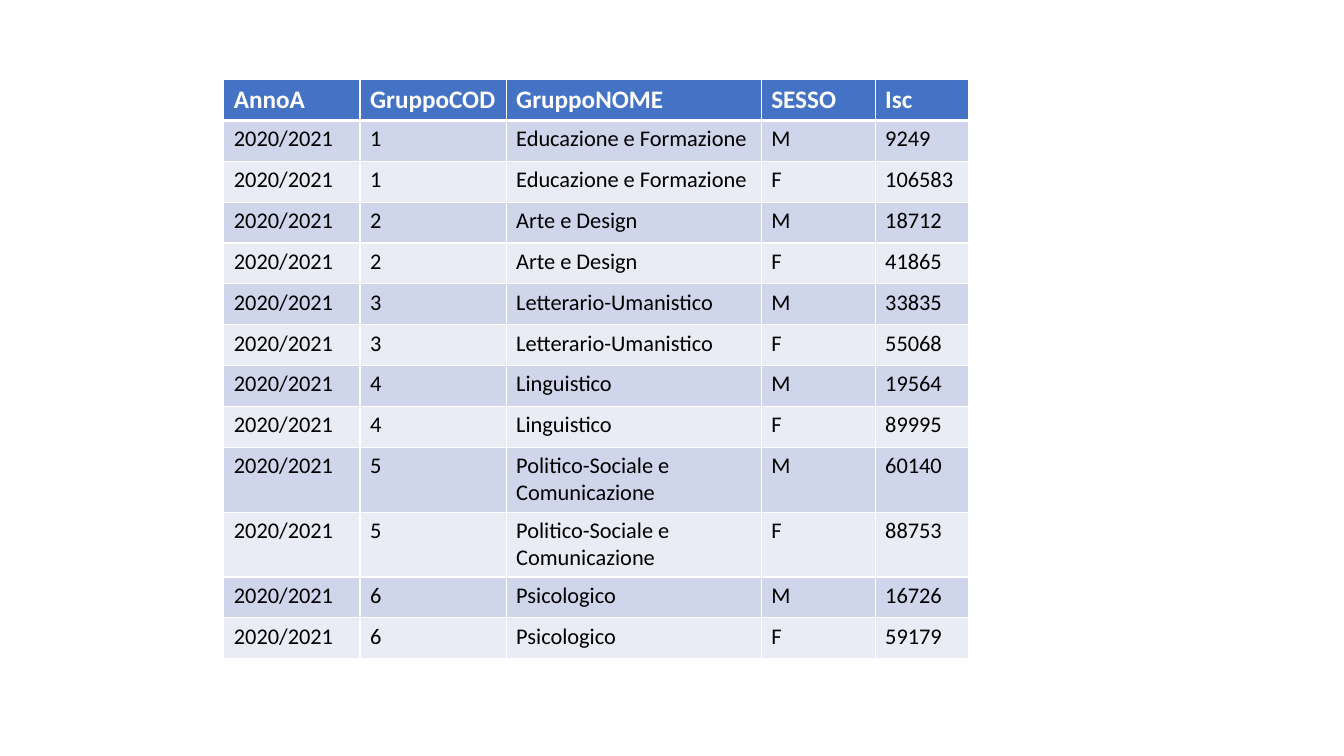
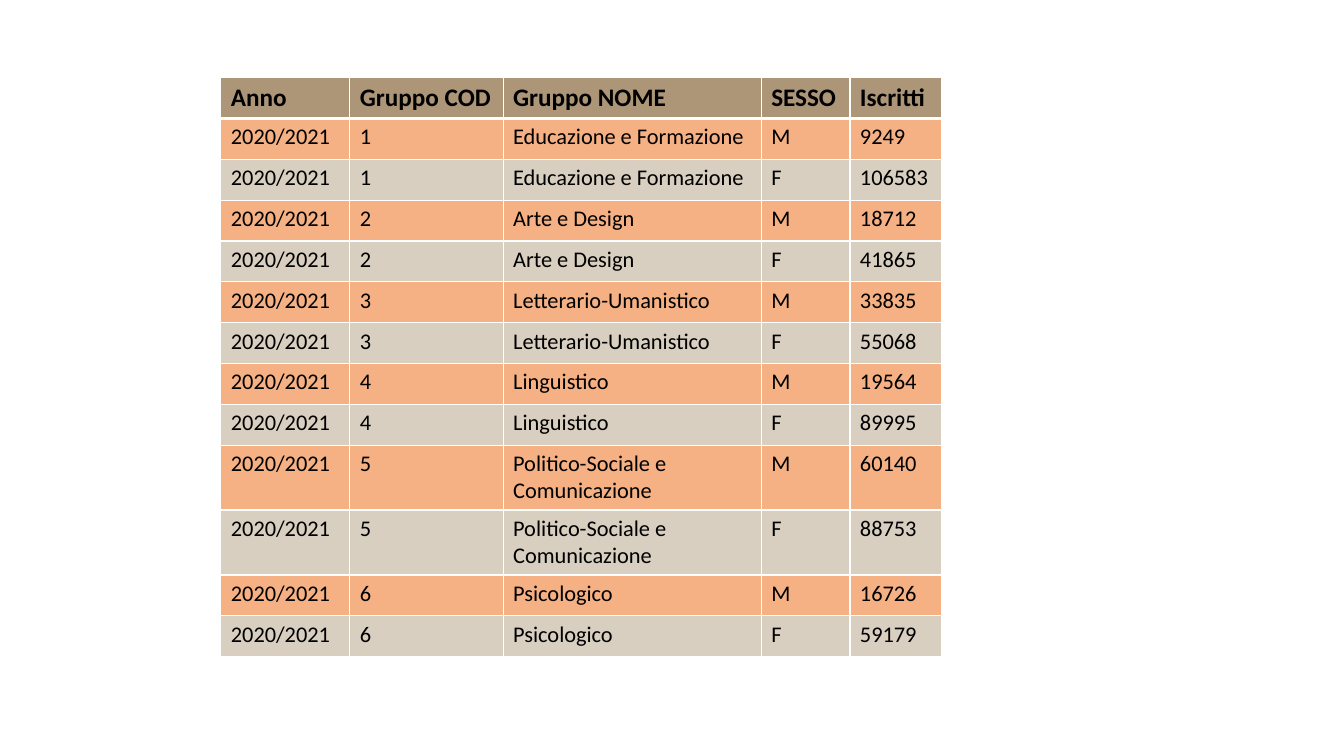
from pptx import Presentation
from pptx.dml.color import RGBColor as RGB
from pptx.oxml.ns import qn
from pptx.util import Inches, Pt
from lxml.etree import SubElement as Sub

FONT = "Calibri"
WHITE, BLACK = "FFFFFF", "000000"
ROW = 5.27 / 13  # thirteen equal rows; long names make theirs grow

# Enrolled students per subject group: men, women
YEAR = "2020/2021"
GROUPS = [
    ("Educazione e Formazione", 9249, 106583),
    ("Arte e Design", 18712, 41865),
    ("Letterario-Umanistico", 33835, 55068),
    ("Linguistico", 19564, 89995),
    ("Politico-Sociale e Comunicazione", 60140, 88753),
    ("Psicologico", 16726, 59179),
]


def color(code):
    return RGB.from_string(code)


class Deck:
    """Holds the shared style and the current slide."""

    def __init__(self):
        self.prs = Presentation()
        self.prs.slide_width = Inches(13.33)
        self.prs.slide_height = Inches(7.5)
        self.slide = None

    def page(self):
        self.slide = self.prs.slides.add_slide(self.prs.slide_layouts[6])

    def edge(self, cell, side, width):
        line = Sub(cell._tc.get_or_add_tcPr(), qn("a:ln" + side), w=str(Pt(width)))
        fill = Sub(line, qn("a:solidFill"))
        Sub(fill, qn("a:srgbClr"), val=WHITE)

    def cell(self, cell, text, size, ink, fill, bold, top, base):
        # Borders come before the fill in the cell properties
        for side, width in (("L", 1), ("R", 1), ("T", top), ("B", base)):
            self.edge(cell, side, width)
        cell.fill.solid()
        cell.fill.fore_color.rgb = color(fill)
        cell.text_frame.text = str(text)
        font = cell.text_frame.paragraphs[0].runs[0].font
        font.name, font.size, font.bold = FONT, Pt(size), bold
        font.color.rgb = color(ink)

    def table(self, left, top, widths, rows, ink, head, bands):
        frame = self.slide.shapes.add_table(
            len(rows), len(widths), Inches(left), Inches(top),
            Inches(sum(widths)), Inches(ROW * len(rows)))
        grid = frame.table
        for col, width in zip(grid.columns, widths):
            col.width = Inches(width)
        for r, row in enumerate(rows):
            grid.rows[r].height = Inches(ROW)
            for c, text in enumerate(row):
                if r == 0:
                    style = (18, ink, head, True, 1, 3)
                else:
                    style = (16, BLACK, bands[(r - 1) % 2], False,
                             3 if r == 1 else 1, 1)
                self.cell(grid.cell(r, c), text, *style)


def main():
    deck = Deck()
    body = [(YEAR, code, name, sex, count)
            for code, (name, men, women) in enumerate(GROUPS, 1)
            for sex, count in (("M", men), ("F", women))]

    # Raw column names, blue table
    deck.page()
    heads = ("AnnoA", "GruppoCOD", "GruppoNOME", "SESSO", "Isc")
    deck.table(2.22, 0.79, (1.35, 1.45, 2.53, 1.13, 0.93), [heads] + body,
               WHITE, "4472C4", ("CFD5EA", "E9EBF5"))

    # Readable column names, warm table
    deck.page()
    heads = ("Anno", "Gruppo COD", "Gruppo NOME", "SESSO", "Iscritti")
    deck.table(2.19, 0.77, (1.28, 1.52, 2.56, 0.88, 0.91), [heads] + body,
               BLACK, "AD9678", ("F5B184", "D8CFC0"))

    deck.prs.save("out.pptx")


if __name__ == "__main__":
    main()
